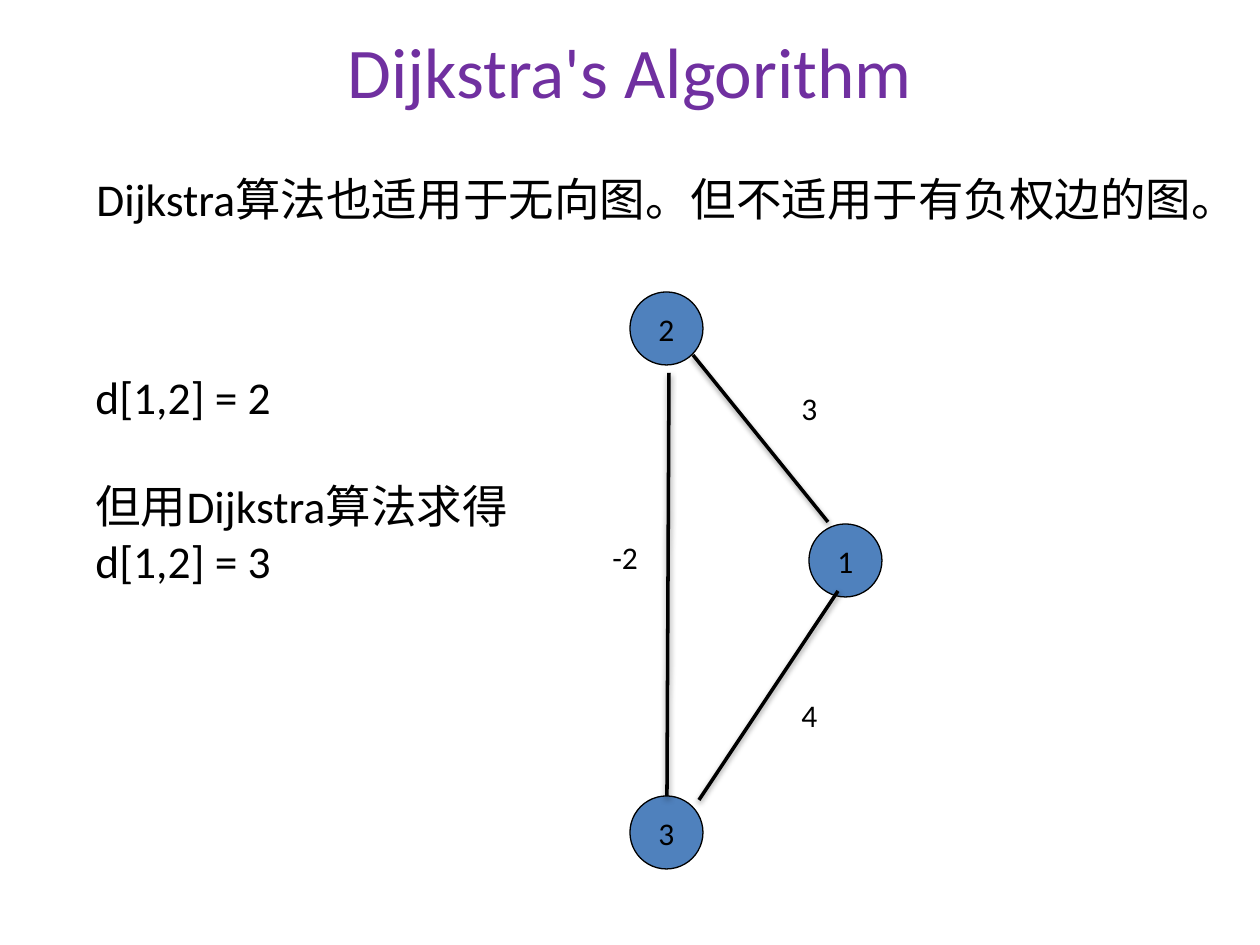
from lxml import etree
from pptx import Presentation
from pptx import util as u
from pptx.dml.color import RGBColor
from pptx.enum import shapes, text
from pptx.oxml import parse_xml
from pptx.oxml.ns import qn

SCALE = 914400 / 126
BLACK = RGBColor(0, 0, 0)
PURPLE = RGBColor(0x70, 0x30, 0xA0)
BLUE = RGBColor(0x4F, 0x81, 0xBD)
NODE = 73
SHADOW = (
    '<a:effectLst xmlns:a="http://schemas.openxmlformats.org/drawingml/2006/main">'
    '<a:outerShdw blurRad="40000" dist="20000" dir="5400000" rotWithShape="0">'
    '<a:srgbClr val="000000"><a:alpha val="38000"/></a:srgbClr>'
    '</a:outerShdw></a:effectLst>'
)


def px(*lengths):
    return [u.Emu(round(n * SCALE)) for n in lengths]


def write(frame, *lines, size=18, color=BLACK, align=text.PP_ALIGN.LEFT,
          wrap=True, grow=False, spacing=None, gap=0):
    frame.word_wrap = wrap
    frame.auto_size = (text.MSO_AUTO_SIZE.SHAPE_TO_FIT_TEXT if grow
                       else text.MSO_AUTO_SIZE.NONE)
    for i, line in enumerate(lines):
        paragraph = frame.add_paragraph() if i else frame.paragraphs[0]
        paragraph.alignment = align
        if spacing:
            paragraph.line_spacing = spacing
        if i and gap:
            paragraph.space_before = u.Pt(gap)
        run = paragraph.add_run()
        run.text = line
        run.font.size = u.Pt(size)
        run.font.name = "Calibri"
        run.font.color.rgb = color


def add_text(slide, box, *lines, **style):
    write(slide.shapes.add_textbox(*px(*box)).text_frame, *lines, **style)


def add_node(slide, left, top, label):
    node = slide.shapes.add_shape(shapes.MSO_SHAPE.OVAL, *px(left, top, NODE, NODE))
    node.shadow.inherit = False
    node.fill.solid()
    node.fill.fore_color.rgb = BLUE
    node.line.color.rgb = BLACK
    node.line.width = u.Pt(0.75)
    node.text_frame.vertical_anchor = text.MSO_ANCHOR.MIDDLE
    write(node.text_frame, label, align=text.PP_ALIGN.CENTER, wrap=False)


def add_edge(slide, x1, y1, x2, y2):
    edge = slide.shapes.add_connector(shapes.MSO_CONNECTOR.STRAIGHT, *px(x1, y1, x2, y2))
    edge.line.color.rgb = BLACK
    edge.line.width = u.Pt(2)
    edge.element.find(qn("p:spPr")).append(parse_xml(SHADOW))


def draw_heading(slide, left, top, width):
    add_text(slide, (left, top, width, 87), "Dijkstra's Algorithm", size=40.7,
             color=PURPLE, align=text.PP_ALIGN.CENTER, spacing=0.8)
    add_text(slide, (left + 21, top + 127, 1177, 106),
             "Dijkstra算法也适用于无向图。但不适用于有负权边的图。",
             size=26, wrap=False, grow=True)


def draw_graph(slide, left, top):
    for x, y, label in [(30, 0, "2"), (30, 504, "3"), (209, 232, "1")]:
        add_node(slide, left + x, top + y, label)
    for x, y, width, weight, wrap in [(0, 240, 52, "-2", True),
                                      (189, 91, 41, "3", False),
                                      (189, 398, 41, "4", False)]:
        add_text(slide, (left + x, top + y, width, 51), weight, wrap=wrap, grow=True)
    for x1, y1, x2, y2 in [(93, 63, 228, 230), (238, 299, 99, 508), (69, 81, 67, 504)]:
        add_edge(slide, left + x1, top + y1, left + x2, top + y2)


def draw_result(slide, left, top, width, height):
    add_text(slide, (left, top, width, height), "d[1,2] = 2",
             "但用Dijkstra算法求得 d[1,2] = 3", size=26, grow=True, gap=31)


deck = Presentation()
deck.slide_width, deck.slide_height = px(1260, 945)
slide = deck.slides.add_slide(deck.slide_layouts[6])
draw_heading(slide, 63, 38, 1134)
draw_graph(slide, 600, 292)
draw_result(slide, 83, 363, 447, 233)
deck.save("out.pptx")
